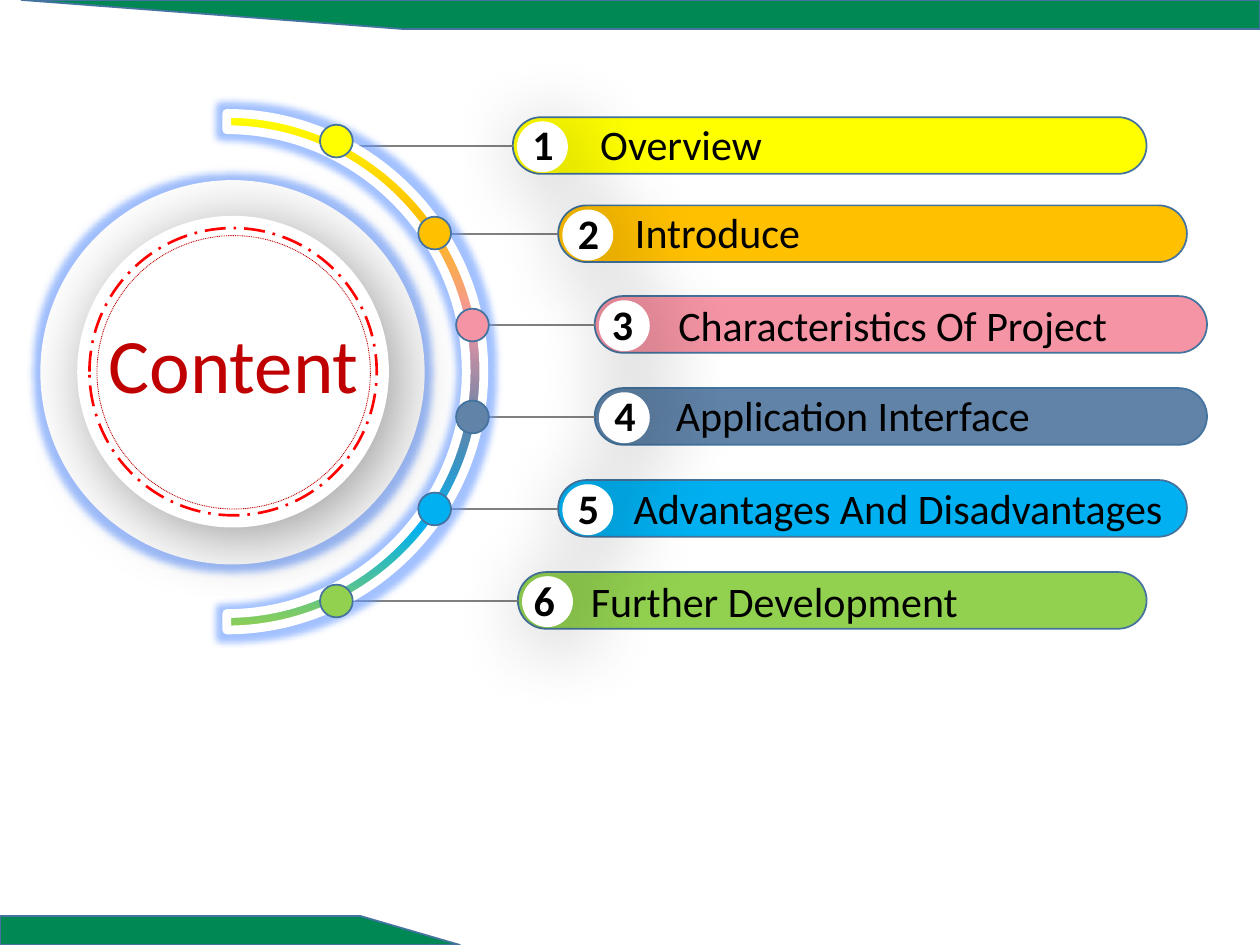
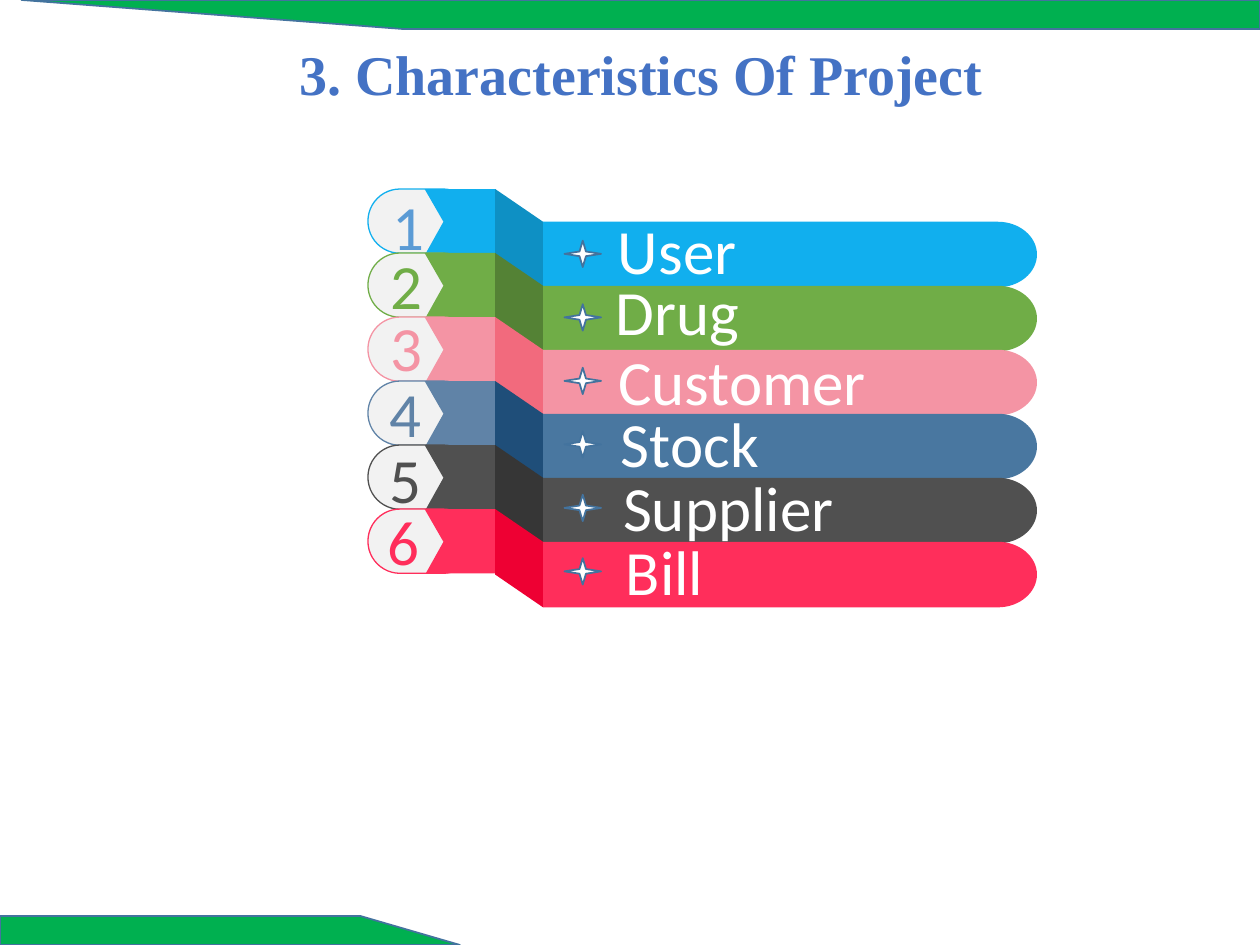
from lxml import etree
from pptx import Presentation
from pptx.dml.color import RGBColor
from pptx.enum import dml, shapes, text
from pptx.oxml import ns, parse_xml
from pptx.util import Inches, Pt

COLORS = {
    "white": "FFFFFF", "black": "000000", "edge": "43739E", "connector": "808080",
    "teal": "008854", "green": "00B050", "red": "FF0000", "dark_red": "C00000",
    "title": "4472C4", "glow": "6699FF", "outline": "5B9BD5", "tab": "F2F2F2",
}
CENTER, LEFT = text.PP_ALIGN.CENTER, text.PP_ALIGN.LEFT
SHAPE, DASH = shapes.MSO_SHAPE, dml.MSO_LINE

CORNER_BANDS = [
    [(0.17, 0), (10, 0), (10, 0.23), (3.19, 0.23)],
    [(0, 7.27), (2.86, 7.27), (3.65, 7.5), (0, 7.5)],
]

# label, colour, bar left, top and right, dot left, number left and top, label left, top, width and alignment
AGENDA = [
    ("Overview", "FFFF00", 4.07, 0.93, 9.1, 2.54, 4.12, 0.89, 4.01, 0.89, 2.79, CENTER),
    ("Introduce", "FFC000", 4.43, 1.63, 9.42, 3.32, 4.48, 1.6, 4.44, 1.59, 2.51, CENTER),
    ("Characteristics Of Project", "F494A4", 4.72, 2.35, 9.58, 3.62, 4.75, 2.32, 4.67, 2.33, 4.83, CENTER),
    (" Application Interface", "6083A7", 4.72, 3.08, 9.58, 3.62, 4.77, 3.04, 5.19, 3.04, 3.55, LEFT),
    ("Advantages And Disadvantages", "00B0F0", 4.43, 3.81, 9.42, 3.32, 4.48, 3.78, 4.93, 3.78, 4.65, LEFT),
    ("Further Development", "92D050", 4.11, 4.54, 9.1, 2.54, 4.13, 4.51, 4.59, 4.52, 4.65, LEFT),
]

# label, tab, fold, band and number colours, number left, top and width, label left, top and width
FEATURES = [
    ("User", "11AFEE", "0E90C4", "11AFEE", "5B9BD5", 2.97, 1.44, 0.54, 4.31, 1.63, 2.13),
    ("Drug", "70AD47", "548235", "70AD47", "70AD47", 3, 1.91, 0.46, 4.31, 2.11, 2.13),
    ("Customer", "F494A4", "F26A7D", "F494A4", "F494A4", 3, 2.4, 0.46, 4.74, 2.67, 2.3),
    ("Stock", "6083A7", "1F4E79", "4977A0", "6083A7", 2.99, 2.92, 0.46, 4.76, 3.16, 1.43),
    ("Supplier", "505050", "363636", "505050", "505050", 2.99, 3.45, 0.46, 4.74, 3.67, 2.08),
    ("Bill", "FF2E5B", "EE0033", "FF2E5B", "FF2E5B", 2.97, 3.94, 0.46, 4.82, 4.18, 0.91),
]


def rgb(color):
    return RGBColor.from_string(COLORS.get(color, color))


def paint(sp, fill, line=None, width=1, dash=None):
    sp.shadow.inherit = False
    sp.fill.solid()
    sp.fill.fore_color.rgb = rgb(fill)
    if line:
        sp.line.color.rgb = rgb(line)
        sp.line.width = Pt(width)
        if dash:
            sp.line.dash_style = dash
    else:
        sp.line.fill.background()
    return sp


def add_shape(s, kind, x, y, w, h, fill, line=None, **style):
    sp = s.shapes.add_shape(kind, Inches(x), Inches(y), Inches(w), Inches(h))
    if kind == SHAPE.ROUNDED_RECTANGLE:
        sp.adjustments[0] = 0.5
    return paint(sp, fill, line, **style)


def add_outline(s, points, fill, line=None, curves=(), **style):
    points = [(Inches(x), Inches(y)) for x, y in points]
    builder = s.shapes.build_freeform(*points[0], scale=1.0)
    builder.add_line_segments(points[1:], close=True)
    sp = builder.convert_to_shape()
    segments = list(sp.element.iter(ns.qn("a:lnTo")))
    for first in curves:
        curve = etree.Element(ns.qn("a:cubicBezTo"))
        segments[first].addprevious(curve)
        for segment in segments[first:first + 3]:
            curve.append(segment[0])
            segment.getparent().remove(segment)
    return paint(sp, fill, line, **style)


def half_ellipse(cx, cy, rx, ry):
    kx, ky = 0.55 * rx, 0.55 * ry
    return [(cx, cy - ry), (cx + kx, cy - ry), (cx + rx, cy - ky), (cx + rx, cy),
            (cx + rx, cy + ky), (cx + kx, cy + ry), (cx, cy + ry)]


def add_line(s, x1, y1, x2, y2, color):
    line = s.shapes.add_connector(shapes.MSO_CONNECTOR.STRAIGHT, *map(Inches, (x1, y1, x2, y2)))
    line.line.color.rgb = rgb(color)
    line.line.width = Pt(1)
    etree.SubElement(line.element.spPr, ns.qn("a:effectLst"))


def set_effect(sp, effect):
    sp.element.spPr.find(ns.qn("a:effectLst")).append(parse_xml(effect))


def add_glow(sp, radius):
    set_effect(sp, f'<a:glow {ns.nsdecls("a")} rad="{Pt(radius)}"><a:srgbClr val="{COLORS["glow"]}">'
                   '<a:alpha val="60000"/></a:srgbClr></a:glow>')


def add_shadow(sp, blur):
    set_effect(sp, f'<a:outerShdw {ns.nsdecls("a")} blurRad="{Pt(blur)}" dist="{Pt(8)}" dir="2700000">'
                   f'<a:srgbClr val="{COLORS["black"]}"><a:alpha val="40000"/></a:srgbClr></a:outerShdw>')


def set_gradient(sp, colors):
    last = len(colors) - 1
    stops = "".join(f'<a:gs pos="{100000 * i // last}"><a:srgbClr val="{c}"/></a:gs>'
                    for i, c in enumerate(colors))
    solid = sp.element.spPr.find(ns.qn("a:solidFill"))
    solid.getparent().replace(solid, parse_xml(
        f'<a:gradFill {ns.nsdecls("a")}><a:gsLst>{stops}</a:gsLst><a:lin ang="5400000"/></a:gradFill>'))


def write(s, words, x, y, w, h, size, color, font="Calibri", bold=False,
          align=CENTER, wrap=True, outline=None, spacing=None, title=False):
    box = tuple(map(Inches, (x, y, w, h)))
    if title:
        sp = s.shapes.title
        sp.left, sp.top, sp.width, sp.height = box
        s.shapes.element.append(sp.element)
    else:
        sp = s.shapes.add_textbox(*box)
    tf = sp.text_frame
    tf.word_wrap = wrap
    tf.auto_size = text.MSO_AUTO_SIZE.NONE
    tf.vertical_anchor = text.MSO_ANCHOR.TOP
    p = tf.paragraphs[0]
    p.alignment = align
    r = p.add_run()
    r.text = words
    r.font.name, r.font.size, r.font.bold = font, Pt(size), bold
    r.font.color.rgb = rgb(color)
    rpr = r.font._element
    if spacing:
        rpr.set("spc", str(int(spacing * 100)))
    if outline:
        rpr.insert(0, parse_xml(
            f'<a:ln {ns.nsdecls("a")} w="{Pt(0.75)}"><a:solidFill>'
            f'<a:srgbClr val="{COLORS[outline]}"/></a:solidFill></a:ln>'))


def new_slide(prs, band_color):
    s = prs.slides.add_slide(prs.slide_layouts[5])
    for points in CORNER_BANDS:
        add_outline(s, points, band_color, "edge")
    return s


def build_agenda(prs):
    s = new_slide(prs, "teal")
    for _, color, left, top, right, *_ in AGENDA:
        add_shape(s, SHAPE.ROUNDED_RECTANGLE, left, top, right - left, 0.45, color, "edge")
    for _, _, left, top, _, dot, *_ in AGENDA:
        add_line(s, dot + 0.26, top + 0.23, left, top + 0.23, "connector")

    add_glow(add_shape(s, SHAPE.OVAL, 0.32, 1.43, 3.05, 3.05, "white"), 8)
    add_shadow(add_shape(s, SHAPE.OVAL, 0.62, 1.72, 2.46, 2.46, "white", "white"), 40)
    outer = half_ellipse(1.8, 2.95, 2.04, 2.05)
    inner = half_ellipse(1.8, 2.95, 1.9, 1.92)
    arc = add_outline(s, outer + inner[::-1], "white", "white", curves=(0, 3, 7, 10), width=5)
    set_gradient(arc, [row[1] for row in AGENDA])
    add_glow(arc, 8)

    for i, (_, color, _, _, _, dot, *_) in enumerate(AGENDA):
        add_shape(s, SHAPE.OVAL, dot, 0.99 + 0.73 * i, 0.26, 0.26, color, "edge")
    for _, _, left, top, *_ in AGENDA:
        add_shadow(add_shape(s, SHAPE.OVAL, left + 0.04, top + 0.04, 0.39, 0.39, "white", "white"), 46)
    add_shape(s, SHAPE.OVAL, 0.71, 1.81, 2.28, 2.28, "white", "red", width=1.5, dash=DASH.LONG_DASH_DOT)
    add_shape(s, SHAPE.OVAL, 0.77, 1.87, 2.17, 2.17, "white", "dark_red", width=0.5, dash=DASH.ROUND_DOT)

    write(s, "Content", 0.75, 2.46, 2.21, 0.84, 44, "dark_red", wrap=False, title=True)
    for i, (label, *_, number_x, number_y, x, y, w, align) in enumerate(AGENDA, 1):
        write(s, str(i), number_x, number_y, 0.38, 0.5, 24, "black", bold=True,
              wrap=False, outline="outline", spacing=0.5)
        write(s, label, x, y, w, 0.5, 24, "black", align=align)


def build_features(prs):
    s = new_slide(prs, "green")
    write(s, "3. Characteristics Of Project", 0.53, 0.26, 9.12, 1.18, 32, "title",
          font="Times New Roman", bold=True, outline="white", title=True)
    last = len(FEATURES) - 1
    for i, (_, tab, fold, band, *_) in enumerate(FEATURES):
        y = 1.5 + 2.54 * i / last
        add_shape(s, SHAPE.ROUNDED_RECTANGLE, 2.92, y, 0.85, 0.51, "tab", tab, width=0.75)
        add_outline(s, [(3.37, y), (3.93, y), (3.93, y + 0.51), (3.38, y + 0.51),
                        (3.52, y + 0.26)], tab)
        add_outline(s, [(3.93, y), (3.93, y + 0.52), (4.31, y + 0.78), (4.31, y + 0.26)], fold)
        add_outline(s, [(4.31, y + 0.26), *half_ellipse(7.92, y + 0.52, 0.31, 0.26),
                        (4.31, y + 0.78)], band, curves=(1, 4))
    for i, (label, *_, color, number_x, number_y, number_w, x, y, w) in enumerate(FEATURES):
        add_shape(s, SHAPE.STAR_4_POINT, 4.48, 1.91 + 2.52 * i / last, 0.29, 0.21, "white", "edge")
        write(s, str(i + 1), number_x, number_y, number_w, 0.71, 36, color, wrap=False)
        write(s, label, x, y, w, 0.71, 36, "white")


def main():
    prs = Presentation()
    prs.slide_width, prs.slide_height = Inches(10), Inches(7.5)
    build_agenda(prs)
    build_features(prs)
    prs.save("out.pptx")


if __name__ == "__main__":
    main()
